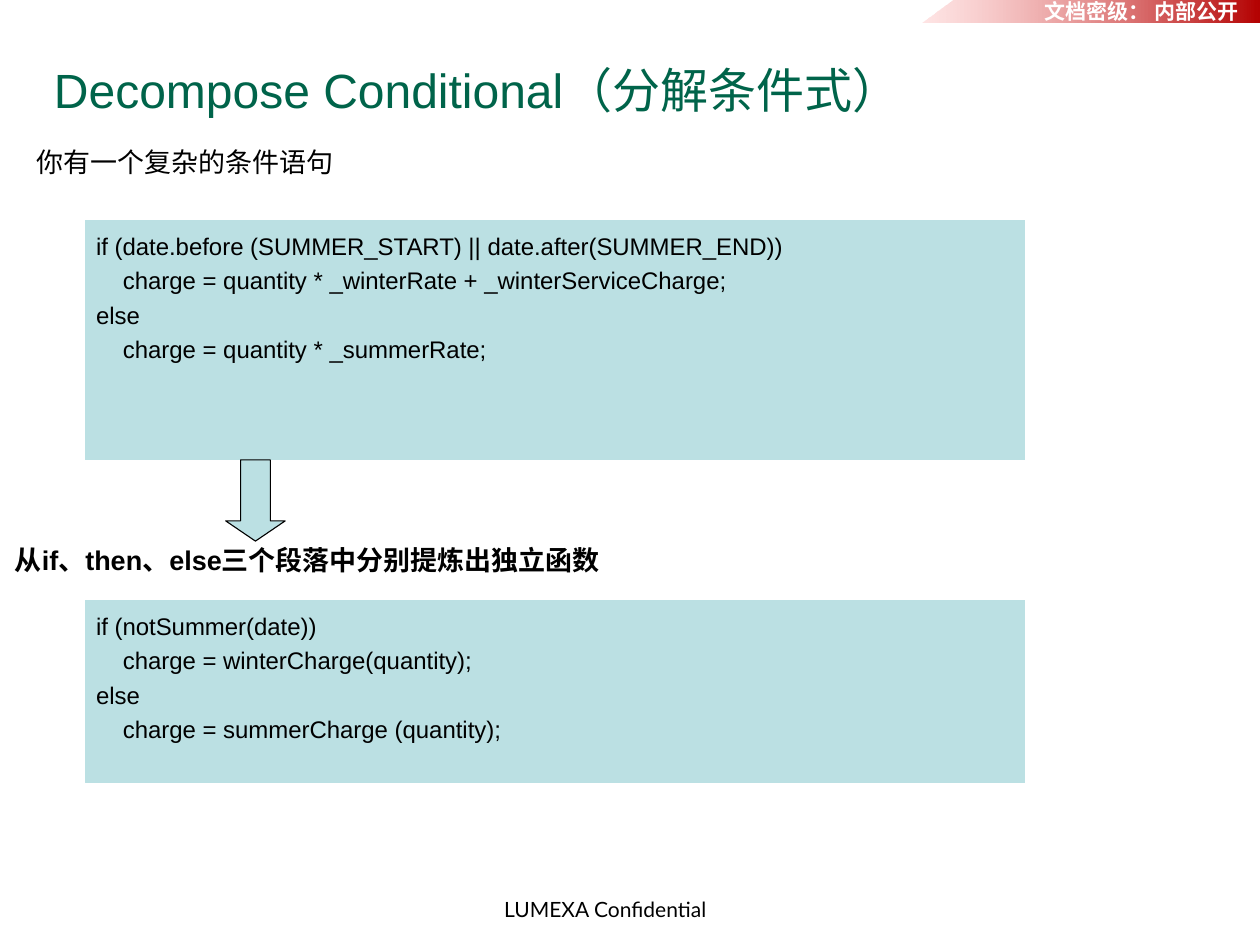
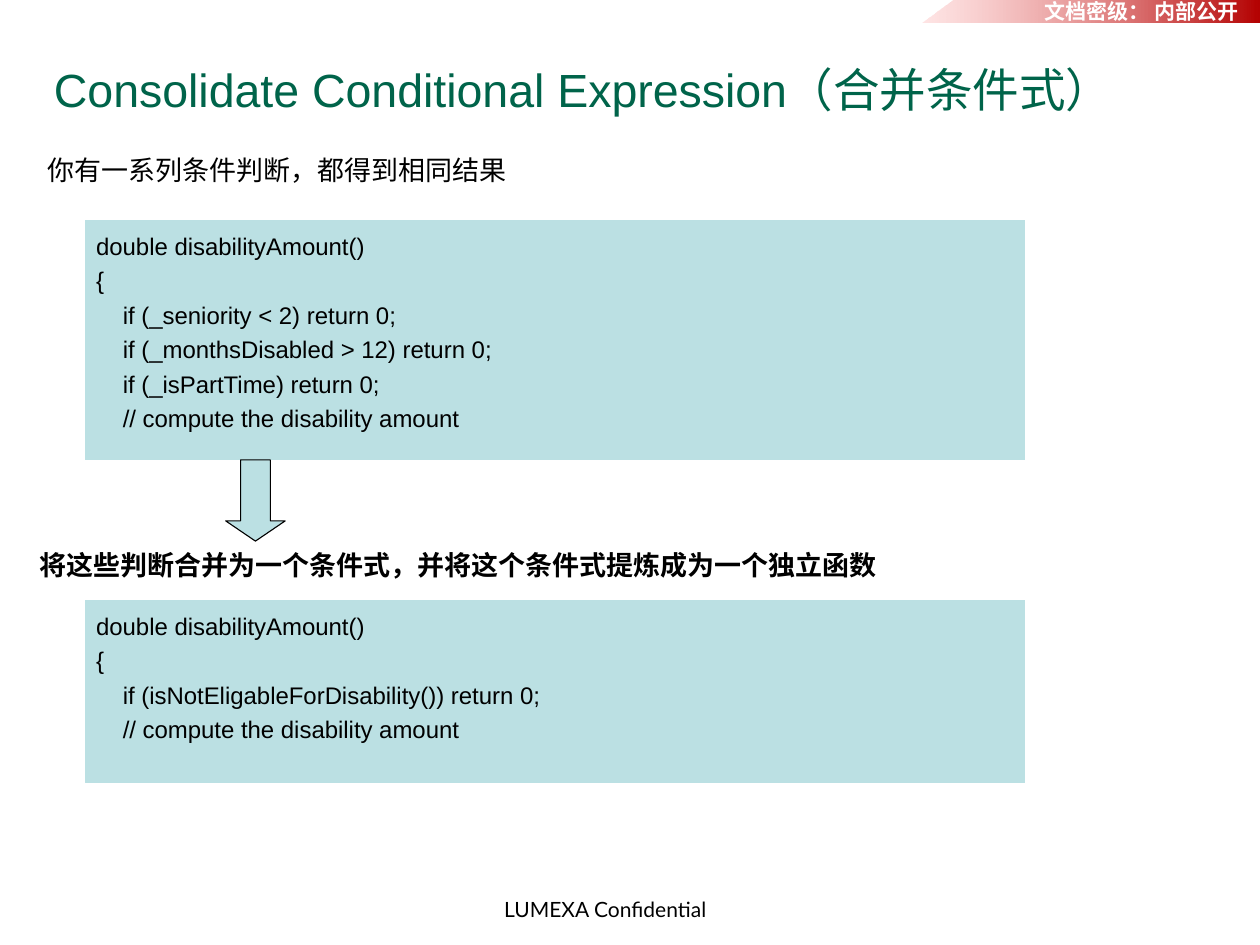
from dataclasses import dataclass

from lxml.etree import SubElement
from pptx import Presentation
from pptx.dml.color import RGBColor
from pptx.enum.lang import MSO_LANGUAGE_ID
from pptx.enum.shapes import MSO_SHAPE
from pptx.enum.text import MSO_ANCHOR, PP_ALIGN
from pptx.oxml.ns import qn
from pptx.shapes.autoshape import Shape
from pptx.slide import Slide
from pptx.util import Cm, Pt

# Shared look
COLORS = {
    "title": "00644A",
    "text": "000000",
    "panel": "BBE0E3",
    "band_dark": "B40000",
    "band_light": "FFBFBF",
    "band_text": "FFFFFF",
}
PAGE_WIDTH, PAGE_HEIGHT = 29.64, 22.23
PANEL_LEFT, PANEL_WIDTH = 2.01, 22.1
CODE_INDENT = 0.63
LINE_SPACING = 1.2


@dataclass(frozen=True)
class Area:
    left: float
    top: float
    width: float
    height: float

    def lengths(self) -> tuple[Cm, Cm, Cm, Cm]:
        return Cm(self.left), Cm(self.top), Cm(self.width), Cm(self.height)


@dataclass(frozen=True)
class Style:
    size: float
    color: str = "text"
    bold: bool = False
    font: str = "Arial"
    spacing: float = 1.0
    before: float = 0
    anchor: MSO_ANCHOR = MSO_ANCHOR.TOP


@dataclass(frozen=True)
class Caption:
    text: str
    area: Area


@dataclass(frozen=True)
class Refactoring:
    title: str
    title_size: int
    problem: Caption
    code_before: tuple[str, ...]
    solution: Caption
    code_after: tuple[str, ...]


TITLE_AREA = Area(1.02, 0.89, 26.14, 2.41)
BEFORE_AREA = Area(PANEL_LEFT, 5.18, PANEL_WIDTH, 5.64)
AFTER_AREA = Area(PANEL_LEFT, 14.12, PANEL_WIDTH, 4.29)
ARROW_AREA = Area(5.31, BEFORE_AREA.top + BEFORE_AREA.height, 1.4, 1.91)
FOOTER_AREA = Area(11.61, 20.96, 5.77, 0.84)
LABEL_AREA = Area(24.33, -0.15, 5.31, 0.86)
BAND_POINTS = ((PAGE_WIDTH, 0), (22.43, 0), (21.67, 0.53), (PAGE_WIDTH, 0.53))

CODE_STYLE = Style(16, spacing=LINE_SPACING)
PROBLEM_STYLE = Style(18, spacing=LINE_SPACING, before=11.2)
SOLUTION_STYLE = Style(18, bold=True, spacing=LINE_SPACING, before=11.2)
FOOTER_STYLE = Style(14, font="Lato")
LABEL_STYLE = Style(14, "band_text", bold=True)

# Content: a leading tab marks one level of code indent
REFACTORINGS = (
    Refactoring(
        "Decompose Conditional（分解条件式）",
        32,
        Caption("你有一个复杂的条件语句", Area(0.61, 3.15, 9.4, 1.17)),
        (
            "if (date.before (SUMMER_START) || date.after(SUMMER_END))",
            "\tcharge = quantity * _winterRate + _winterServiceCharge;",
            "else",
            "\tcharge = quantity * _summerRate;",
        ),
        Caption(
            "从if、then、else三个段落中分别提炼出独立函数",
            Area(0.1, 12.5, 17.07, 1.17),
        ),
        (
            "if (notSummer(date))",
            "\tcharge = winterCharge(quantity);",
            "else",
            "\tcharge = summerCharge (quantity);",
        ),
    ),
    Refactoring(
        "Consolidate Conditional Expression（合并条件式）",
        31,
        Caption("你有一系列条件判断，都得到相同结果", Area(0.86, 3.33, 13.21, 1.17)),
        (
            "double disabilityAmount()",
            "{",
            "\tif (_seniority < 2) return 0;",
            "\tif (_monthsDisabled > 12) return 0;",
            "\tif (_isPartTime) return 0;",
            "\t// compute the disability amount",
        ),
        Caption(
            "将这些判断合并为一个条件式，并将这个条件式提炼成为一个独立函数",
            Area(0.69, 12.62, 22.1, 1.17),
        ),
        (
            "double disabilityAmount()",
            "{",
            "\tif (isNotEligableForDisability()) return 0;",
            "\t// compute the disability amount",
        ),
    ),
)


def rgb(name: str) -> RGBColor:
    return RGBColor.from_string(COLORS[name])


def write_lines(box: Shape, lines: tuple[str, ...], style: Style) -> None:
    """Fill a box with one paragraph per line."""
    frame = box.text_frame
    frame.word_wrap = True
    frame.vertical_anchor = style.anchor
    paragraph_format = {
        "alignment": PP_ALIGN.LEFT,
        "line_spacing": style.spacing,
        "space_before": Pt(style.before),
    }
    font_format = {
        "name": style.font,
        "size": Pt(style.size),
        "bold": style.bold,
        "language_id": MSO_LANGUAGE_ID.SIMPLIFIED_CHINESE,
    }
    for index, line in enumerate(lines):
        para = frame.add_paragraph() if index else frame.paragraphs[0]
        for key, value in paragraph_format.items():
            setattr(para, key, value)
        if line.startswith("\t"):
            para._p.get_or_add_pPr().set("marL", str(Cm(CODE_INDENT)))
        span = para.add_run()
        span.text = line.strip()
        for key, value in font_format.items():
            setattr(span.font, key, value)
        span.font.color.rgb = rgb(style.color)


def add_text(page: Slide, area: Area, text: str, style: Style) -> None:
    write_lines(page.shapes.add_textbox(*area.lengths()), (text,), style)


def add_filled(page: Slide, kind: MSO_SHAPE, area: Area, line_color: str) -> Shape:
    shape = page.shapes.add_shape(kind, *area.lengths())
    shape.shadow.inherit = False
    shape.fill.solid()
    shape.fill.fore_color.rgb = rgb("panel")
    shape.line.color.rgb = rgb(line_color)
    shape.line.width = Pt(0.75)
    return shape


def add_code(page: Slide, area: Area, lines: tuple[str, ...]) -> None:
    panel = add_filled(page, MSO_SHAPE.RECTANGLE, area, "panel")
    write_lines(panel, lines, CODE_STYLE)


def add_arrow(page: Slide) -> None:
    arrow = add_filled(page, MSO_SHAPE.DOWN_ARROW, ARROW_AREA, "text")
    arrow.adjustments[0] = 0.5
    arrow.adjustments[1] = 0.34


def add_band(page: Slide) -> None:
    """Draw the slanted band that fades to the left."""
    start, *others = [(Cm(x), Cm(y)) for x, y in BAND_POINTS]
    builder = page.shapes.build_freeform(*start)
    builder.add_line_segments(others, close=True)
    band = builder.convert_to_shape()
    band.shadow.inherit = False
    band.line.fill.background()
    band.fill.gradient()
    band.fill.gradient_angle = 180
    for stop, name, position in zip(
        band.fill.gradient_stops, ("band_dark", "band_light"), (0, 1)
    ):
        stop.color.rgb = rgb(name)
        stop.position = position
    light = band._element.spPr.findall(".//" + qn("a:srgbClr"))[-1]
    SubElement(light, qn("a:alpha")).set("val", "40000")


def add_page_frame(page: Slide) -> None:
    add_text(page, FOOTER_AREA, "LUMEXA Confidential", FOOTER_STYLE)
    add_band(page)
    add_text(page, LABEL_AREA, "文档密级： 内部公开", LABEL_STYLE)


def add_refactoring(page: Slide, item: Refactoring) -> None:
    title_style = Style(item.title_size, "title", anchor=MSO_ANCHOR.MIDDLE)
    add_text(page, TITLE_AREA, item.title, title_style)
    add_code(page, BEFORE_AREA, item.code_before)
    add_code(page, AFTER_AREA, item.code_after)
    add_text(page, item.problem.area, item.problem.text, PROBLEM_STYLE)
    add_arrow(page)
    add_text(page, item.solution.area, item.solution.text, SOLUTION_STYLE)


def main() -> None:
    deck = Presentation()
    deck.slide_width, deck.slide_height = Cm(PAGE_WIDTH), Cm(PAGE_HEIGHT)
    blank = deck.slide_layouts[6]
    for item in REFACTORINGS:
        page = deck.slides.add_slide(blank)
        add_page_frame(page)
        add_refactoring(page, item)
    deck.save("out.pptx")


if __name__ == "__main__":
    main()
